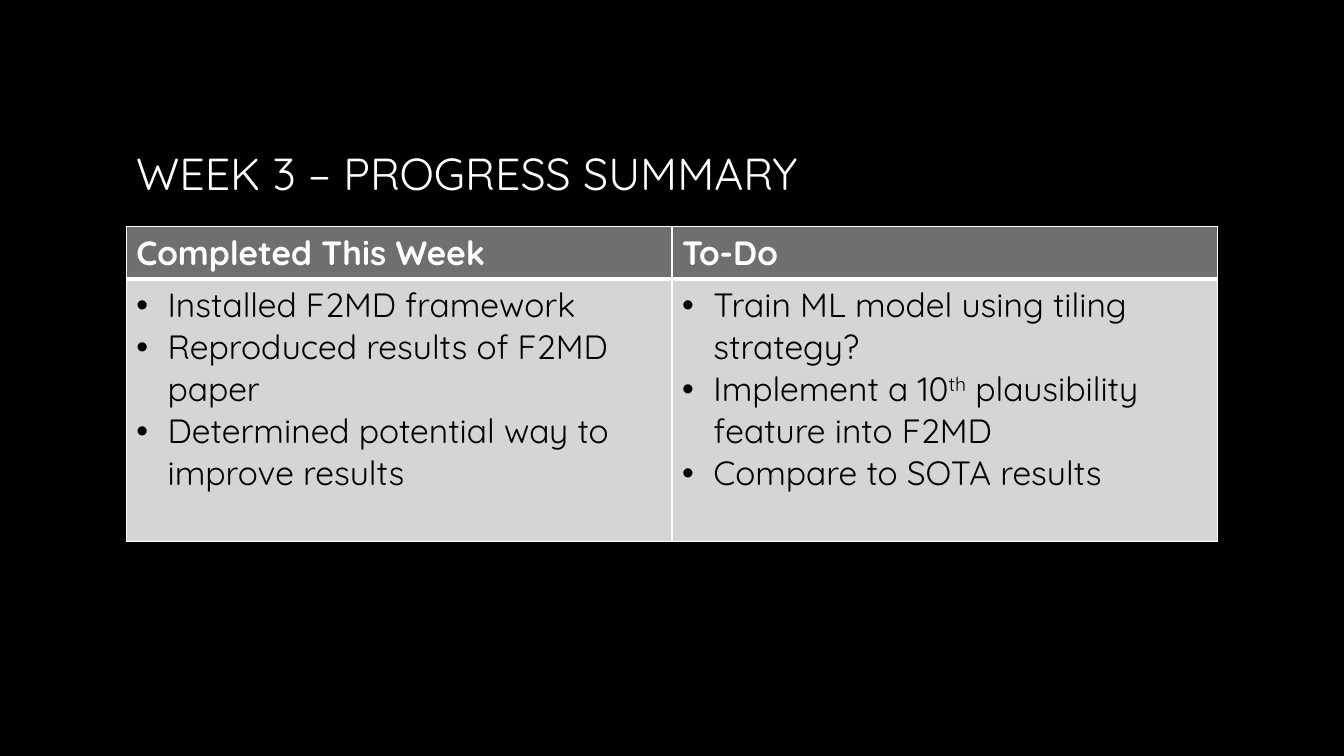
from lxml import etree
from pptx import Presentation
from pptx import util as u
from pptx.dml.color import RGBColor
from pptx.enum import text
from pptx.oxml import ns

BLACK = RGBColor(0x00, 0x00, 0x00)
WHITE = RGBColor(0xFF, 0xFF, 0xFF)
SILVER = RGBColor(0xA6, 0xA6, 0xA6)
HEADER_GRAY = RGBColor(0x6F, 0x6F, 0x6F)
BODY_GRAY = RGBColor(0xD5, 0xD5, 0xD5)

LEFT, WIDTH = 3.18, 27.51
COLUMNS = {
    "Completed This Week": [
        "Installed F2MD framework",
        "Reproduced results of F2MD paper",
        "Determined potential way to improve results",
    ],
    "To-Do": [
        "Train ML model using tiling strategy?",
        "Implement a 10^th^ plausibility feature into F2MD",
        "Compare to SOTA results",
    ],
}


class ProgressSlide:
    """Draws the weekly progress page in one consistent style."""

    font_name = "Quicksand"
    title_size = u.Pt(32)
    table_size = u.Pt(24)

    def __init__(self, deck):
        self.page = deck.slides.add_slide(deck.slide_layouts[6])
        fill = self.page.background.fill
        fill.solid()
        fill.fore_color.rgb = BLACK

    def title(self, words, top, height):
        box = self.page.shapes.add_textbox(u.Cm(LEFT), u.Cm(top), u.Cm(WIDTH), u.Cm(height))
        frame = box.text_frame
        frame.text = words
        frame.word_wrap = True
        frame.vertical_anchor = text.MSO_ANCHOR.MIDDLE
        font = frame.paragraphs[0].runs[0].font
        font.name, font.size = self.font_name, self.title_size
        font.fill.gradient()
        font.fill.gradient_angle = 267
        for stop, color in zip(font.fill.gradient_stops, (WHITE, SILVER)):
            stop.color.rgb = color

    def table(self, columns, top, row_heights):
        frame = self.page.shapes.add_table(
            2, len(columns), u.Cm(LEFT), u.Cm(top), u.Cm(WIDTH), u.Cm(sum(row_heights)))
        table = frame.table
        table.horz_banding = False
        for row, height in zip(table.rows, row_heights):
            row.height = u.Cm(height)
        for index, (heading, items) in enumerate(columns.items()):
            header, body = table.cell(0, index), table.cell(1, index)
            self.cell(header, HEADER_GRAY, top_line=1, bottom_line=3)
            self.cell(body, BODY_GRAY, top_line=3, bottom_line=1)
            self.spans(header.text_frame.paragraphs[0], heading, WHITE, bold=True)
            for number, item in enumerate(items):
                para = body.text_frame.add_paragraph() if number else body.text_frame.paragraphs[0]
                self.bullet(para)
                self.spans(para, item, BLACK, bold=False)

    def cell(self, cell, color, top_line, bottom_line):
        properties = cell._tc.get_or_add_tcPr()
        for side, points in zip("LRTB", (1, 1, top_line, bottom_line)):
            line = etree.SubElement(properties, ns.qn(f"a:ln{side}"), w=str(u.Pt(points)))
            paint = etree.SubElement(line, ns.qn("a:solidFill"))
            etree.SubElement(paint, ns.qn("a:srgbClr"), val=str(WHITE))
        cell.fill.solid()
        cell.fill.fore_color.rgb = color

    def bullet(self, para):
        properties = para._p.get_or_add_pPr()
        indent = u.Cm(0.79)
        properties.set("marL", str(indent))
        properties.set("indent", str(-indent))
        etree.SubElement(properties, ns.qn("a:buFont"), typeface="Arial")
        etree.SubElement(properties, ns.qn("a:buChar"), char="•")

    def spans(self, para, words, color, bold):
        for number, part in enumerate(words.split("^")):
            span = para.add_run()
            span.text = part
            font = span.font
            font.name, font.size, font.bold = self.font_name, self.table_size, bold
            font.color.rgb = color
            if number % 2:
                span._r.get_or_add_rPr().set("baseline", "30000")


def main():
    deck = Presentation()
    deck.slide_width, deck.slide_height = u.Cm(33.87), u.Cm(19.05)
    slide = ProgressSlide(deck)
    slide.title("WEEK 3 – PROGRESS SUMMARY", top=1.7, height=5.29)
    slide.table(COLUMNS, top=5.71, row_heights=(1.32, 6.62))
    deck.save("out.pptx")


if __name__ == "__main__":
    main()
